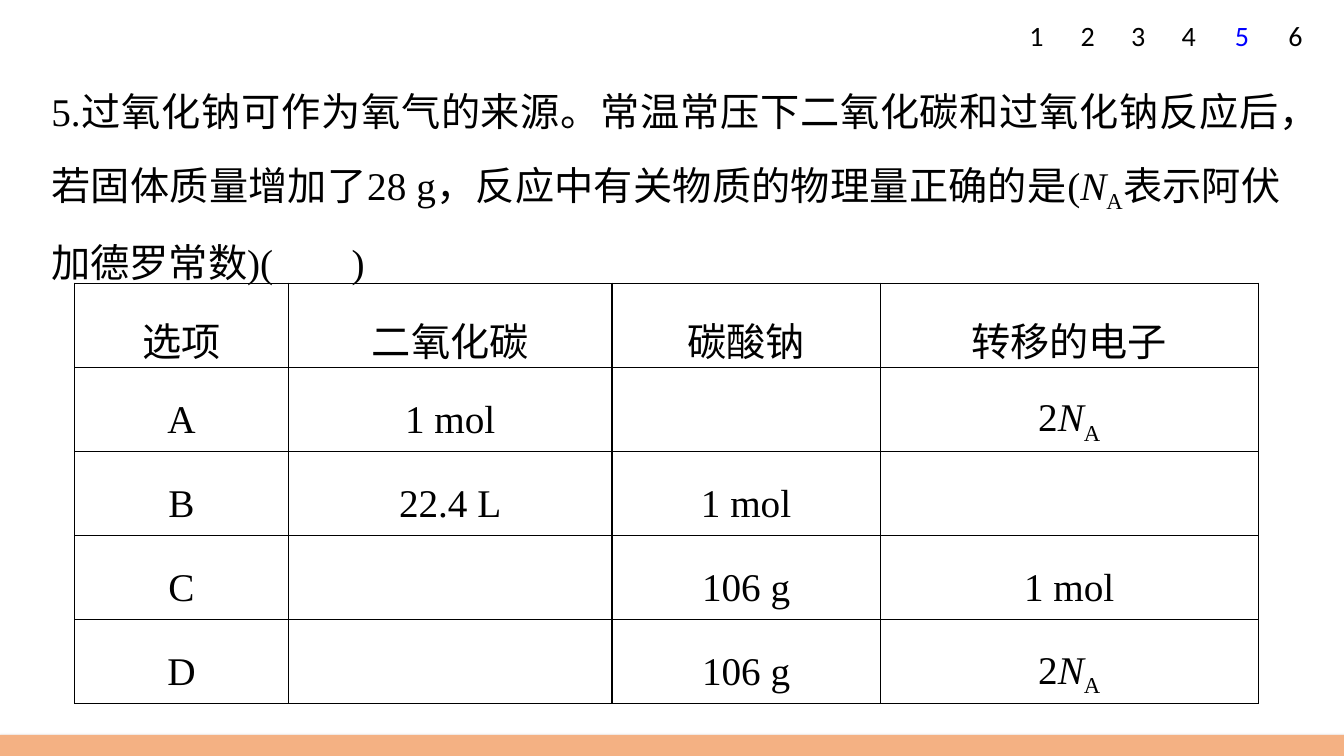
from lxml import etree
from pptx import Presentation
from pptx.dml.color import RGBColor
from pptx.enum import shapes, text
from pptx.oxml.ns import qn
from pptx.util import Inches, Pt

BLACK = RGBColor(0, 0, 0)
BLUE = RGBColor(0, 0, 0xFF)
ORANGE = RGBColor(0xF4, 0xB1, 0x83)

AVOGADRO = [("N", "italic"), ("A", "sub")]
QUESTION = [
    ("5.过氧化钠可作为氧气的来源。常温常压下二氧化碳和过氧化钠反应后，"
     "若固体质量增加了28 g，反应中有关物质的物理量正确的是(", ""),
    *AVOGADRO,
    ("表示阿伏加德罗常数)(　　)", ""),
]
TWO_AVOGADRO = [("2", ""), *AVOGADRO]
OPTIONS = [
    ["选项", "二氧化碳", "碳酸钠", "转移的电子"],
    ["A", "1 mol", "", TWO_AVOGADRO],
    ["B", "22.4 L", "1 mol", ""],
    ["C", "", "106 g", "1 mol"],
    ["D", "", "106 g", TWO_AVOGADRO],
]
COLUMN_WIDTHS = [2.12, 3.21, 2.66, 3.75]
PAGE_BOXES = [(10.05, 0.43), (10.58, 0.41), (11.09, 0.38),
              (11.56, 0.43), (12.09, 0.43), (12.62, 0.43)]
CURRENT_PAGE = 5


def add_runs(p, runs, font="Times New Roman", size=28, color=BLACK):
    """Add (text, style) pairs; a style is "", "italic" or "sub"."""
    for content, style in runs:
        r = p.add_run()
        r.text = content
        r.font.name = font
        r.font.size = Pt(size)
        r.font.color.rgb = color
        if style == "italic":
            r.font.italic = True
        elif style == "sub":
            r._r.get_or_add_rPr().set("baseline", "-25000")


def add_text_box(slide, left, top, width, height, wrap):
    box = slide.shapes.add_textbox(Inches(left), Inches(top), Inches(width), Inches(height))
    tf = box.text_frame
    tf.word_wrap = wrap
    tf.margin_left = tf.margin_right = Inches(0.13)
    tf.margin_top = tf.margin_bottom = Inches(0.07)
    return tf


def add_question(slide):
    tf = add_text_box(slide, 0.38, 0.56, 12.45, 2.17, wrap=True)
    tf.auto_size = text.MSO_AUTO_SIZE.SHAPE_TO_FIT_TEXT
    p = tf.paragraphs[0]
    p.alignment = text.PP_ALIGN.JUSTIFY
    p.line_spacing = 1.5
    add_runs(p, QUESTION)


def add_page_numbers(slide):
    for number, (left, width) in enumerate(PAGE_BOXES, 1):
        tf = add_text_box(slide, left, 0.04, width, 0.63, wrap=False)
        tf.vertical_anchor = text.MSO_ANCHOR.MIDDLE
        p = tf.paragraphs[0]
        p.alignment = text.PP_ALIGN.RIGHT
        color = BLUE if number == CURRENT_PAGE else BLACK
        add_runs(p, [(str(number), "")], "Calibri", 20, color)


def set_borders(cell):
    tc_pr = cell._tc.get_or_add_tcPr()
    for index, side in enumerate(("lnL", "lnR", "lnT", "lnB")):
        ln = etree.Element(qn(f"a:{side}"), w=str(Pt(1)))
        fill = etree.SubElement(ln, qn("a:solidFill"))
        etree.SubElement(fill, qn("a:srgbClr"), val=str(BLACK))
        tc_pr.insert(index, ln)


def fill_cell(cell, content):
    cell.fill.background()
    set_borders(cell)
    cell.vertical_anchor = text.MSO_ANCHOR.MIDDLE
    cell.margin_left = cell.margin_right = Inches(0.04)
    cell.margin_top = cell.margin_bottom = 0
    if content:
        p = cell.text_frame.paragraphs[0]
        p.alignment = text.PP_ALIGN.CENTER
        p.line_spacing = 1.5
        add_runs(p, [(content, "")] if isinstance(content, str) else content)


def add_options_table(slide):
    frame = slide.shapes.add_table(len(OPTIONS), len(COLUMN_WIDTHS), Inches(0.74),
                                   Inches(2.81), Inches(11.74), Inches(4.17))
    table = frame.table
    table.first_row = table.horz_banding = False
    for column, width in zip(table.columns, COLUMN_WIDTHS):
        column.width = Inches(width)
    for row, contents in zip(table.rows, OPTIONS):
        for cell, content in zip(row.cells, contents):
            fill_cell(cell, content)


def add_footer_bar(slide):
    bar = slide.shapes.add_shape(shapes.MSO_SHAPE.RECTANGLE, 0, Inches(7.29),
                                 Inches(13.34), Inches(0.21))
    bar.fill.solid()
    bar.fill.fore_color.rgb = ORANGE
    bar.line.fill.background()
    bar.shadow.inherit = False
    effects = bar._element.spPr.find(qn("a:effectLst"))
    shadow = etree.SubElement(effects, qn("a:outerShdw"), blurRad=str(Pt(3.1)),
                              dist=str(Pt(1.6)), dir="5400000", rotWithShape="0")
    color = etree.SubElement(shadow, qn("a:srgbClr"), val=str(BLACK))
    etree.SubElement(color, qn("a:alpha"), val="38000")


def main():
    prs = Presentation()
    prs.slide_width = Inches(13.33)
    prs.slide_height = Inches(7.5)
    slide = prs.slides.add_slide(prs.slide_layouts[6])
    add_question(slide)
    add_options_table(slide)
    add_page_numbers(slide)
    add_footer_bar(slide)
    prs.save("out.pptx")


if __name__ == "__main__":
    main()
